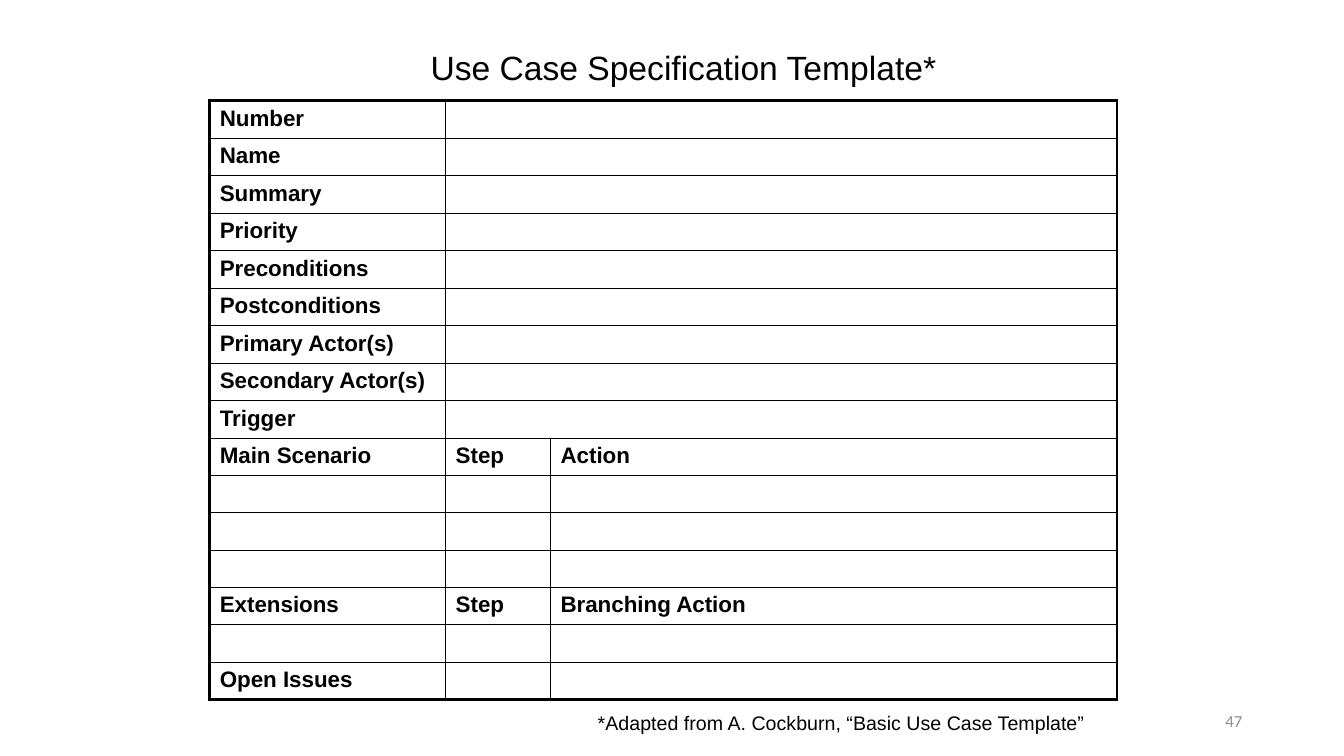
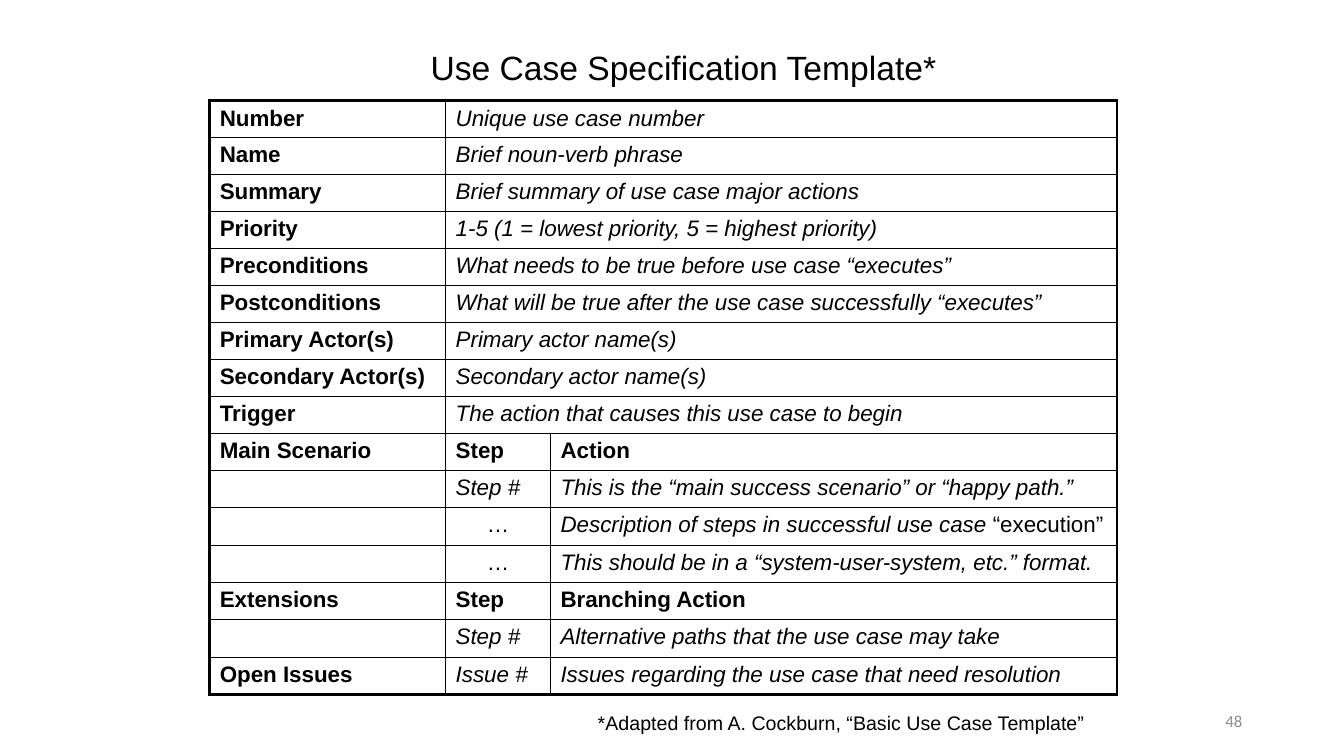
"""Builds two slides of a use case template: one blank, one explained."""
from lxml import etree
from pptx import Presentation
from pptx.dml.color import RGBColor
from pptx.enum import text
from pptx.oxml.ns import qn
from pptx.util import Inches, Pt

BLACK = RGBColor(0x00, 0x00, 0x00)
GRAY = RGBColor(0x8C, 0x8C, 0x8C)
FONT, NUMBER_FONT = "Arial", "Calibri"
CELL_SIZE = Pt(16)
THIN, THICK = Pt(1), Pt(2.25)

TITLE = "Use Case Specification Template*"
CREDIT = "*Adapted from A. Cockburn, “Basic Use Case Template”"

FIELDS = [
    ("Number", "Unique use case number"),
    ("Name", "Brief noun-verb phrase"),
    ("Summary", "Brief summary of use case major actions"),
    ("Priority", "1-5 (1 = lowest priority, 5 = highest priority)"),
    ("Preconditions", "What needs to be true before use case “executes”"),
    ("Postconditions", "What will be true after the use case successfully “executes”"),
    ("Primary Actor(s)", "Primary actor name(s)"),
    ("Secondary Actor(s)", "Secondary actor name(s)"),
    ("Trigger", "The action that causes this use case to begin"),
]
STEPS = [
    ("Main Scenario", "Step", "Action"),
    ("", "Step #", "This is the “main success scenario” or “happy path.”"),
    ("", "…", ("Description of steps in successful use case", " “execution”")),
    ("", "…", "This should be in a “system-user-system, etc.” format."),
    ("Extensions", "Step", "Branching Action"),
    ("", "Step #", "Alternative paths that the use case may take"),
    ("Open Issues", "Issue #", "Issues regarding the use case that need resolution"),
]
HEADINGS = {"Step", "Action", "Branching Action"}
SLIDES = [("47", False), ("48", True)]

TABLE_LEFT, TABLE_TOP = Inches(2.08), Inches(1)
COLUMNS = [Inches(w) for w in (2.34, 1.04, 5.62)]
TABLE_HEIGHT = Inches(5.87)


def style(r, size, color=BLACK, name=FONT, bold=False, italic=False):
    r.font.size, r.font.name = size, name
    r.font.bold, r.font.italic = bold, italic
    r.font.color.rgb = color


def place(sp, box, content, size, color=BLACK, name=FONT,
          align=text.PP_ALIGN.LEFT, anchor=text.MSO_ANCHOR.TOP):
    sp.left, sp.top, sp.width, sp.height = [Inches(v) for v in box]
    tf = sp.text_frame
    tf.text = content
    tf.word_wrap = True
    tf.auto_size = text.MSO_AUTO_SIZE.NONE
    tf.vertical_anchor = anchor
    p = tf.paragraphs[0]
    p.alignment = align
    style(p.runs[0], size, color, name)


def add_text(s, box, *args, **kwargs):
    place(s.shapes.add_textbox(0, 0, 0, 0), box, *args, **kwargs)


def set_borders(cell, **widths):
    tcPr = cell._tc.get_or_add_tcPr()
    for i, side in enumerate("LRTB"):
        ln = etree.Element(qn("a:ln" + side), w=str(widths[side]))
        fill = etree.SubElement(ln, qn("a:solidFill"))
        etree.SubElement(fill, qn("a:srgbClr"), val=str(BLACK))
        tcPr.insert(i, ln)


def fill_cell(cell, content, bold):
    p = cell.text_frame.paragraphs[0]
    p.alignment = text.PP_ALIGN.CENTER if content == "…" else text.PP_ALIGN.LEFT
    parts = content if isinstance(content, tuple) else (content,)
    for i, part in enumerate(parts):
        if part:
            r = p.add_run()
            r.text = part
            style(r, CELL_SIZE, bold=bold, italic=not bold and part != "…" and i == 0)
    etree.SubElement(p._p, qn("a:endParaRPr"), sz=str(int(CELL_SIZE.pt * 100)))


def add_template(s, explained):
    rows = [(label, hint, "") for label, hint in FIELDS] + STEPS
    table = s.shapes.add_table(len(rows), len(COLUMNS), TABLE_LEFT, TABLE_TOP,
                               sum(COLUMNS), TABLE_HEIGHT).table
    table.first_row = table.horz_banding = False
    for column, width in zip(table.columns, COLUMNS):
        column.width = width
    last_row, last_col = len(rows) - 1, len(COLUMNS) - 1
    for i, row in enumerate(rows):
        table.rows[i].height = TABLE_HEIGHT // len(rows)
        if i < len(FIELDS):
            table.cell(i, 1).merge(table.cell(i, last_col))
        for j, content in enumerate(row):
            cell = table.cell(i, j)
            bold = j == 0 or content in HEADINGS
            fill_cell(cell, content if bold or explained else "", bold)
            cell.fill.background()
            if not cell.is_spanned:
                at_right = j == last_col or cell.is_merge_origin
                set_borders(cell, L=THIN if j else THICK, R=THICK if at_right else THIN,
                            T=THIN if i else THICK, B=THICK if i == last_row else THIN)


def main():
    prs = Presentation()
    prs.slide_width, prs.slide_height = Inches(13.33), Inches(7.5)
    for number, explained in SLIDES:
        s = prs.slides.add_slide(prs.slide_layouts[5])
        add_template(s, explained)
        place(s.shapes.title, (4.17, 0.42, 5.67, 0.5), TITLE, Pt(24))
        add_text(s, (5.83, 7, 5.25, 0.33), CREDIT, Pt(14))
        add_text(s, (9.42, 6.95, 3, 0.4), number, Pt(12), GRAY, NUMBER_FONT,
                 text.PP_ALIGN.RIGHT, text.MSO_ANCHOR.MIDDLE)
    prs.save("out.pptx")


if __name__ == "__main__":
    main()
